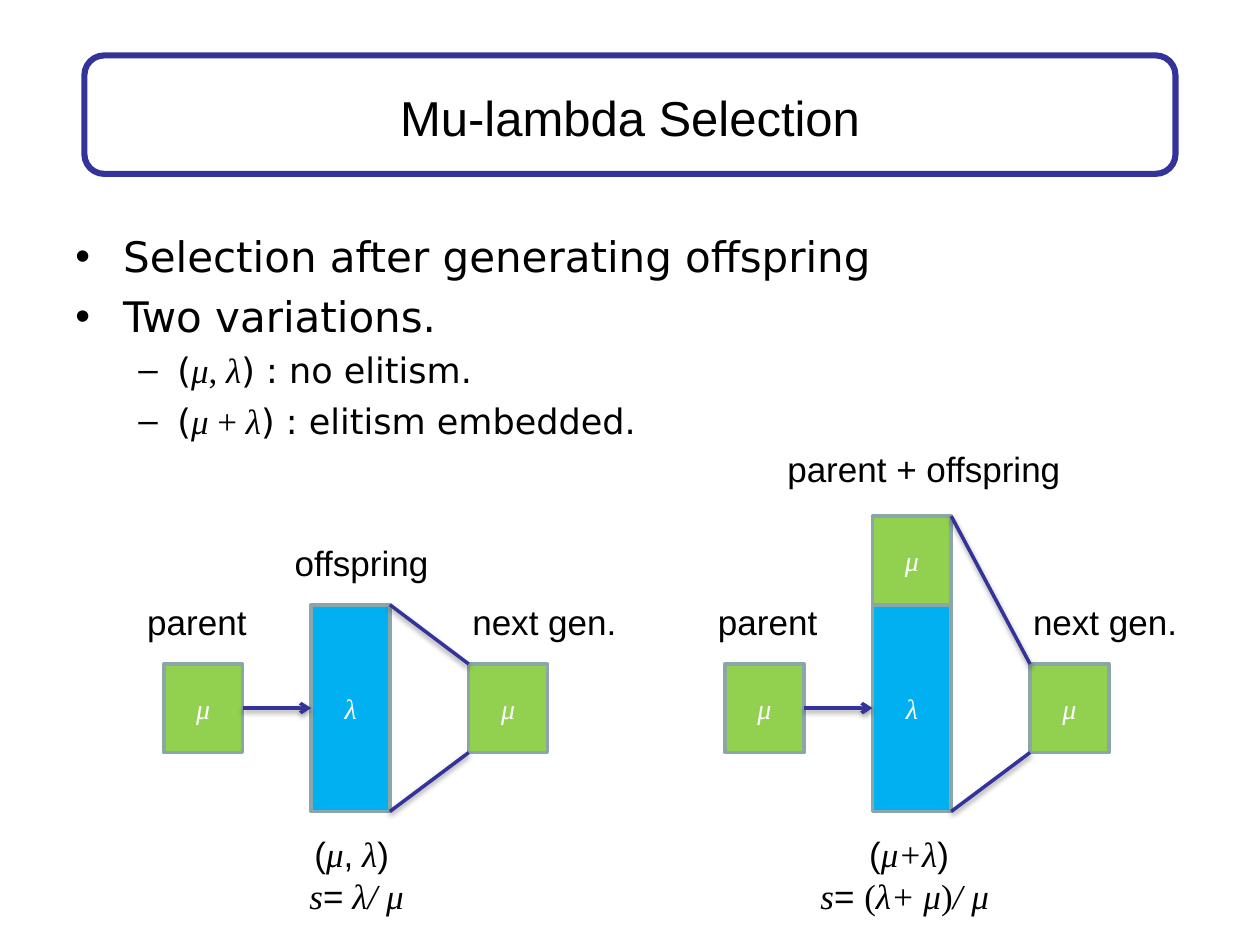
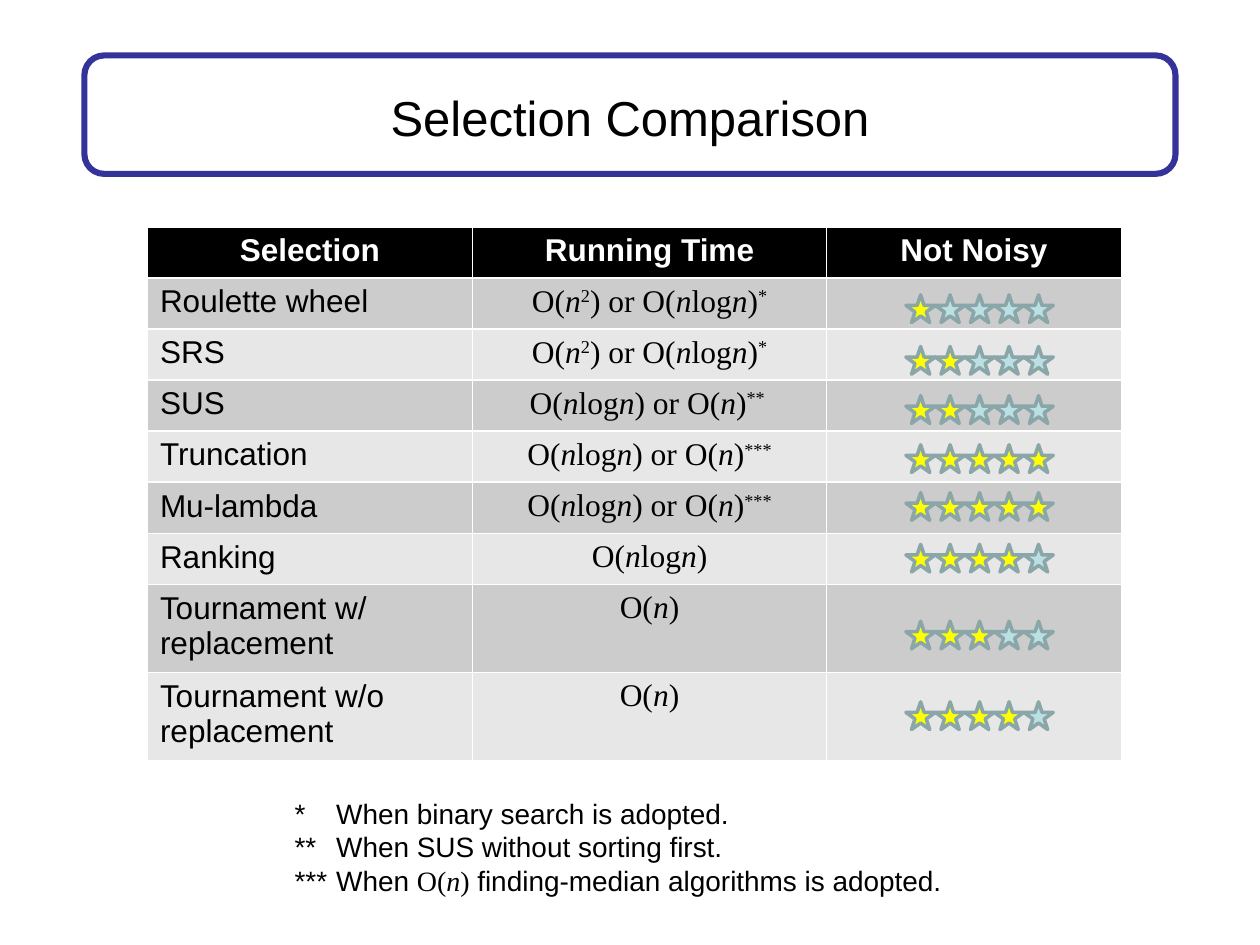
from lxml import etree
from pptx import Presentation
from pptx.dml.color import RGBColor
from pptx.enum.shapes import MSO_CONNECTOR, MSO_SHAPE
from pptx.enum.text import MSO_ANCHOR, MSO_AUTO_SIZE, PP_ALIGN
from pptx.oxml import parse_xml
from pptx.oxml.ns import nsdecls, qn
from pptx.util import Inches, Pt

rgb = RGBColor.from_string
NAVY, EDGE, BLACK, WHITE = "333399", "8AA6A8", "000000", "FFFFFF"
GREEN, BLUE, YELLOW, PALE = "92D050", "00B0F0", "FFFF00", "BBE0E3"
SERIF = "Times New Roman"

prs = Presentation()
prs.slide_width, prs.slide_height = Inches(10), Inches(7.5)
G = prs.slide_width // 1000  # grid of 1000 columns by 750 rows


def write(p, text, size, font="Arial", color=BLACK, bold=False):
    """Runs are split by |; a leading ~ is serif, _ serif italic, ^ serif superscript."""
    for part in text.split("|"):
        mark = part[0] if part[0] in "~_^" else ""
        r = p.add_run()
        r.text = part[len(mark):]
        r.font.name = SERIF if mark else font
        r.font.size, r.font.bold, r.font.italic = Pt(size), bold, mark == "_"
        r.font.color.rgb = rgb(color)
        if mark == "^":
            r.font._element.set("baseline", "30000")


def shape(s, kind, x, y, w, h, fill=None, line=EDGE, width=2):
    sp = s.shapes.add_shape(kind, *(int(G * v) for v in (x, y, w, h)))
    sp.shadow.inherit = False
    if fill:
        sp.fill.solid()
        sp.fill.fore_color.rgb = rgb(fill)
    else:
        sp.fill.background()
    sp.line.color.rgb, sp.line.width = rgb(line), Pt(width)
    return sp


# Both slides: framed title
slides = []
for title in ("Mu-lambda Selection", "Selection Comparison"):
    s = prs.slides.add_slide(prs.slide_layouts[5])
    shape(s, MSO_SHAPE.ROUNDED_RECTANGLE, 67, 44, 866, 94, line=NAVY, width=3.5)
    ph = s.shapes.title
    ph.left, ph.top, ph.width, ph.height = G * 50, G * 30, G * 900, G * 125
    ph.text_frame.vertical_anchor = MSO_ANCHOR.MIDDLE
    p = ph.text_frame.paragraphs[0]
    p.alignment = PP_ALIGN.CENTER
    write(p, title, 28)
    slides.append(s)

# Slide 1: bullets
s = slides[0]
tf = s.shapes.add_textbox(G * 50, G * 178, G * 900, G * 180).text_frame
tf.word_wrap = True
bullets = [
    (0, "Selection after generating offspring"),
    (0, "Two variations."),
    (1, "(|_μ|~, |_λ|) : no elitism."),
    (1, "(|_μ |~+ |_λ|) : elitism embedded."),
]
for i, (level, text) in enumerate(bullets):
    p = tf.paragraphs[0] if i == 0 else tf.add_paragraph()
    size, margin, hang, char = [(24, 38, 38, "•"), (20, 81, 31, "–")][level]
    p.level, p.space_before = level, Pt(size * 0.23)
    pPr = p._p.get_or_add_pPr()
    pPr.set("marL", str(G * margin))
    pPr.set("indent", str(-G * hang))
    etree.SubElement(pPr, qn("a:buFont")).set("typeface", "Arial")
    etree.SubElement(pPr, qn("a:buChar")).set("char", char)
    write(p, text, size, "DejaVu Sans")

# Slide 1: the two selection diagrams; pool_top is the top of the middle stack
BOX_W, BOX_H = 62.5, 70.3
PARENT_Y, POOL_Y, POOL_H = 527, 480, 164
MID_Y, POOL_END = POOL_Y + POOL_H / 2, POOL_Y + POOL_H
diagrams = [
    (130, POOL_Y, [
        (107, 472, 100, ["parent"]),
        (224, 425, 127, ["offspring"]),
        (365, 472, 135, ["next gen."]),
        (234, 656, 98, ["(|_μ|,|_ λ|) ", "_s|=|_ λ/ μ"]),
    ]),
    (575.5, POOL_Y - BOX_H, [
        (560, 472, 100, ["parent"]),
        (615, 350, 238, ["parent + offspring"]),
        (810, 472, 135, ["next gen."]),
        (641, 656, 161, ["(|_μ+λ|)", "_s|= |~(|_λ+ μ|~)|_/ μ "]),
    ]),
]
for left, pool_top, labels in diagrams:
    pool, after = left + 117, left + 242
    boxes = [
        (left, PARENT_Y, BOX_H, GREEN, "_μ"),
        (pool, POOL_Y, POOL_H, BLUE, "_λ"),
        (after, PARENT_Y, BOX_H, GREEN, "_μ"),
    ]
    if pool_top < POOL_Y:
        boxes.append((pool, pool_top, BOX_H, GREEN, "_μ"))
    for x, y, h, fill, text in boxes:
        tf = shape(s, MSO_SHAPE.RECTANGLE, x, y, BOX_W, h, fill).text_frame
        tf.vertical_anchor = MSO_ANCHOR.MIDDLE
        p = tf.paragraphs[0]
        p.alignment = PP_ALIGN.CENTER
        write(p, text, 16, color=WHITE)

    lines = [
        (left + BOX_W, MID_Y, pool, MID_Y, True),
        (pool + BOX_W, pool_top, after, PARENT_Y, False),
        (pool + BOX_W, POOL_END, after, PARENT_Y + BOX_H, False),
    ]
    for *ends, arrow in lines:
        c = s.shapes.add_connector(MSO_CONNECTOR.STRAIGHT, *(int(G * v) for v in ends))
        c.line.color.rgb, c.line.width = rgb(NAVY), Pt(2)
        if arrow:
            etree.SubElement(c.line._get_or_add_ln(), qn("a:tailEnd")).set("type", "arrow")
        c._element.spPr.append(parse_xml(
            f'<a:effectLst {nsdecls("a")}><a:outerShdw blurRad="40000" dist="20000" '
            f'dir="5400000" rotWithShape="0"><a:srgbClr val="{BLACK}">'
            '<a:alpha val="38000"/></a:srgbClr></a:outerShdw></a:effectLst>'))

    for x, y, w, texts in labels:
        tf = s.shapes.add_textbox(G * x, G * y, G * w, G * (11 + 33 * len(texts))).text_frame
        tf.word_wrap, tf.auto_size = False, MSO_AUTO_SIZE.SHAPE_TO_FIT_TEXT
        for i, text in enumerate(texts):
            p = tf.paragraphs[0] if i == 0 else tf.add_paragraph()
            p.alignment = PP_ALIGN.CENTER if len(texts) > 1 else PP_ALIGN.LEFT
            write(p, text, 20)

# Slide 2: comparison table; each row has its star count and star height
s = slides[1]
SQUARE = "~O(|_n|^2|~) or O(|_n|~log|_n|~)|^*"
SORT = "~O(|_n|~log|_n|~)"
LINEAR = "~O(|_n|~)"
header = ("Selection", "Running Time", "Not Noisy")
rows = [
    ("Roulette wheel", SQUARE, 1, 234),
    ("SRS", SQUARE, 2, 275),
    ("SUS", "~O(|_n|~log|_n|~) or O(|_n|~)|^** ", 2, 314),
    ("Truncation", "~O(|_n|~log|_n|~) or O(|_n|~)|^***", 5, 353),
    ("Mu-lambda", "~O(|_n|~log|_n|~) or O(|_n|~)|^***", 5, 391),
    ("Ranking", SORT, 4, 432),
    ("Tournament w/ replacement", LINEAR, 3, 493),
    ("Tournament w/o replacement", LINEAR, 4, 557),
]
table = s.shapes.add_table(len(rows) + 1, 3, G * 117, G * 180, G * 773, G * 424).table
for column, width in zip(table.columns, (258, 281, 234)):
    column.width = G * width
for i, row in enumerate([header] + rows):
    table.rows[i].height = int(G * (70 if i > 6 else 40.5))
    for j in range(3):
        cell = table.cell(i, j)
        cell.fill.solid()
        cell.fill.fore_color.rgb = rgb(BLACK if i == 0 else ("E7E7E7", "CCCCCC")[i % 2])
        if i == 0 or j < 2:
            p = cell.text_frame.paragraphs[0]
            p.alignment = PP_ALIGN.LEFT if i and j == 0 else PP_ALIGN.CENTER
            write(p, row[j], 18, color=BLACK if i else WHITE, bold=i == 0)

# Slide 2: star ratings
for _, _, stars, y in rows:
    for k in range(5):
        shape(s, MSO_SHAPE.STAR_5_POINT, 719 + 23.4 * k, y, 23.4, 22,
              YELLOW if k < stars else PALE)

# Slide 2: footnotes with a hanging indent
tf = s.shapes.add_textbox(G * 224, G * 627, G * 560, G * 91).text_frame
tf.word_wrap = True
notes = [
    "*\tWhen binary search is adopted.",
    "**\tWhen SUS without sorting first.",
    "***\tWhen |~O(|_n|~)| finding-median algorithms is adopted.",
]
for i, text in enumerate(notes):
    p = tf.paragraphs[0] if i == 0 else tf.add_paragraph()
    pPr = p._p.get_or_add_pPr()
    pPr.set("marL", str(G * 33))
    pPr.set("indent", str(-G * 33))
    write(p, text, 16)

prs.save("out.pptx")
